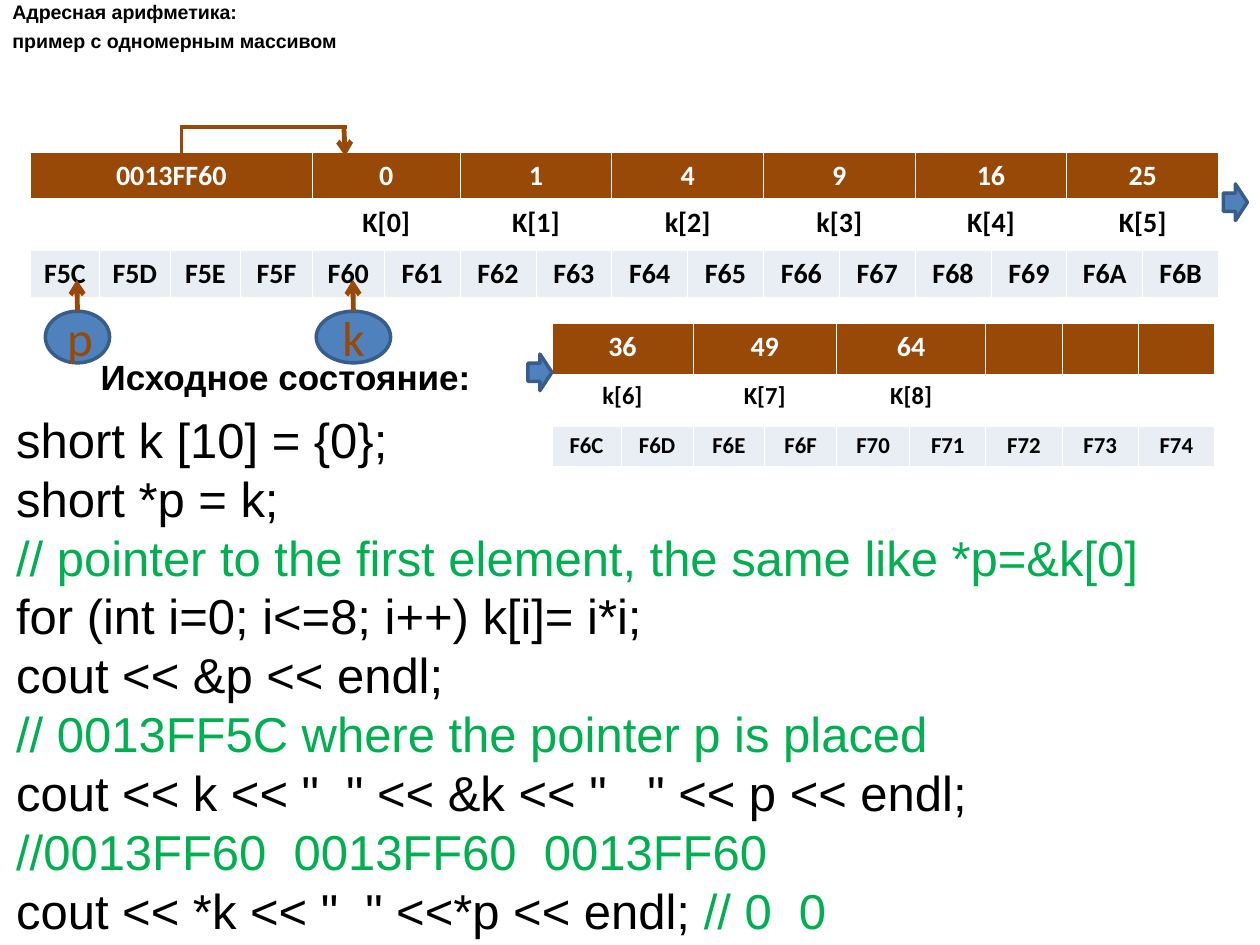
from lxml import etree
from pptx import Presentation
from pptx import util as u
from pptx.dml.color import RGBColor
from pptx.enum import shapes, text
from pptx.oxml import ns

COLUMNS, ROWS = 100, 75
BROWN, BLUE, NAVY = "984807", "4F81BD", "385D8A"
WHITE, BLACK, PALE, GREEN = "FFFFFF", "000000", "E9EDF4", "00B050"


def color(value):
    return RGBColor.from_string(value)


class Slide:
    heading_font = "Calibri"
    body_font = "Arial"

    def __init__(self, deck):
        self.page = deck.slides.add_slide(deck.slide_layouts[6])
        self.column = deck.slide_width / COLUMNS
        self.row = deck.slide_height / ROWS

    def place(self, left, top, width, height):
        return (u.Emu(round(left * self.column)), u.Emu(round(top * self.row)),
                u.Emu(round(width * self.column)), u.Emu(round(height * self.row)))

    def style(self, font, name, size, fill, bold=False):
        font.name, font.size, font.bold = name, u.Pt(size), bold
        font.color.rgb = color(fill)

    def paint(self, shape, fill, line, weight):
        shape.shadow.inherit = False
        shape.fill.solid()
        shape.fill.fore_color.rgb = color(fill)
        shape.line.color.rgb = color(line)
        shape.line.width = u.Pt(weight)

    def text_box(self, area, lines, size, bold=False, spacing=None, before=0, grow=False):
        frame = self.page.shapes.add_textbox(*self.place(*area)).text_frame
        frame.word_wrap = True
        if grow:
            frame.auto_size = text.MSO_AUTO_SIZE.SHAPE_TO_FIT_TEXT
        for index, line in enumerate(lines):
            para = frame.add_paragraph() if index else frame.paragraphs[0]
            para.line_spacing = spacing
            if index:
                para.space_before = u.Pt(before)
            for words, fill in line:
                span = para.add_run()
                span.text = words
                self.style(span.font, self.body_font, size, fill, bold)

    def block_arrow(self, area):
        arrow = self.page.shapes.add_shape(shapes.MSO_SHAPE.RIGHT_ARROW, *self.place(*area))
        self.paint(arrow, BLUE, NAVY, 2)

    def line(self, start, end, weight=2, arrow=False, parent=None):
        points = self.place(*start, *end)
        line = (parent or self.page).shapes.add_connector(shapes.MSO_CONNECTOR.STRAIGHT, *points)
        line.line.color.rgb = color(BROWN)
        line.line.width = u.Pt(weight)
        properties = line._element.spPr
        if arrow:
            etree.SubElement(properties.find(ns.qn("a:ln")), ns.qn("a:tailEnd"), type="arrow")
        etree.SubElement(properties, ns.qn("a:effectLst"))

    def pointer(self, name, left, width, tip):
        group = self.page.shapes.add_group_shape()
        top = 24.7
        oval = group.shapes.add_shape(shapes.MSO_SHAPE.OVAL, *self.place(left, top, width, 4.1))
        self.paint(oval, BLUE, NAVY, 2)
        frame = oval.text_frame
        frame.text = name
        frame.vertical_anchor = text.MSO_ANCHOR.MIDDLE
        para = frame.paragraphs[0]
        para.alignment = text.PP_ALIGN.CENTER
        self.style(para.runs[0].font, self.heading_font, 28, BROWN)
        self.line((left + width / 2, top), (tip, 22.2), 2.75, True, group)

    def borders(self, cell, top, bottom):
        properties = cell._tc.get_or_add_tcPr()
        sides = (("lnL", 0.45), ("lnR", 0.45), ("lnT", top), ("lnB", bottom))
        for index, (side, weight) in enumerate(sides):
            border = etree.Element(ns.qn("a:" + side), w=str(u.Pt(weight)))
            fill = etree.SubElement(border, ns.qn("a:solidFill"))
            etree.SubElement(fill, ns.qn("a:srgbClr"), val=WHITE)
            properties.insert(index, border)

    def memory_table(self, left, top, widths, heights, rows, sizes):
        area = self.place(left, top, sum(widths), sum(heights))
        table = self.page.shapes.add_table(len(rows), len(widths), *area).table
        for column, width in zip(table.columns, widths):
            column.width = u.Emu(round(width * self.column))
        for row, height in zip(table.rows, heights):
            row.height = u.Emu(round(height * self.row))
        looks = ((BROWN, WHITE, 0.45, 1.47), (WHITE, BLACK, 1.47, 0.45), (PALE, BLACK, 0.45, 0.45))
        for r, (entries, size, look) in enumerate(zip(rows, sizes, looks)):
            fill, ink, above, below = look
            for c in range(len(widths)):
                cell = table.cell(r, c)
                cell.fill.solid()
                cell.fill.fore_color.rgb = color(fill)
                cell.margin_left = cell.margin_right = u.Inches(0.05)
                self.borders(cell, above, below)
            c = 0
            for words, span in entries:
                cell = table.cell(r, c)
                if span > 1:
                    cell.merge(table.cell(r, c + span - 1))
                if words:
                    cell.text_frame.text = words
                    para = cell.text_frame.paragraphs[0]
                    para.alignment = text.PP_ALIGN.CENTER
                    self.style(para.runs[0].font, self.heading_font, size, ink, True)
                c += span


def cells(words, span=1):
    return [(word, span) for word in words]


def addresses(first, last):
    return [f"F{number:X}" for number in range(first, last + 1)]


def main():
    deck = Presentation()
    deck.slide_width, deck.slide_height = u.Inches(10), u.Inches(7.5)
    slide = Slide(deck)

    blanks = cells([""] * 4)
    slide.memory_table(
        2.4, 12.1, [5.5, 5.6, 5.6, 5.7, 5.7] + [6.02] * 11, [3.7] * 3,
        [[("0013FF60", 4)] + cells(["0", "1", "4", "9", "16", "25"], 2),
         blanks + cells(["K[0]", "K[1]", "k[2]", "k[3]", "K[4]", "K[5]"], 2),
         cells(["F5С"] + addresses(0x5D, 0x6B))],
        (16, 16, 16))
    slide.memory_table(
        43.8, 25.7, [5.5, 5.7, 5.7, 5.7, 5.8] + [6.05] * 4, [3.7, 3.3, 3.2],
        [cells(["36", "49", "64"], 2) + blanks[:3],
         cells(["k[6]", "K[7]", "K[8]"], 2) + blanks[:3],
         cells(addresses(0x6C, 0x74))],
        (16, 14, 13))

    slide.pointer("p", 3.6, 5.1, 6.1)
    slide.pointer("k", 25.1, 5.9, 28)
    slide.block_arrow((97.1, 14.6, 1.9, 2.9))
    slide.block_arrow((41.9, 28.1, 1.9, 2.9))

    code = [
        [("short k [10] = {0};", BLACK)],
        [("short *p = k;", BLACK)],
        [("// pointer to the first element, the same like *p=&k[0]", GREEN)],
        [("for (int i=0; i<=8; i++) k[i]= i*i;", BLACK)],
        [("cout << &p << endl;", BLACK)],
        [("// 0013FF5C where the pointer p is placed", GREEN)],
        [('cout << k << "  " << &k << "   " << p << endl; ', BLACK),
         ("//0013FF60  0013FF60  0013FF60", GREEN)],
        [('cout << *k << "  " <<*p << endl; ', BLACK), ("// 0  0", GREEN)],
    ]
    slide.text_box((0.3, 32, 96.8, 43.1), code, 28, grow=True)
    title = [[("Адресная арифметика:", BLACK)], [("пример с одномерным массивом", BLACK)]]
    slide.text_box((0, 0, 100, 4.5), title, 11.2, True, 0.7, 7)
    slide.text_box((7, 28.1, 35.9, 4.5), [[("Исходное состояние:", BLACK)]], 20, True, 0.9)

    slide.line((14.4, 12.4), (14.4, 10))
    slide.line((27.5, 10.1), (14.3, 10.1))
    slide.line((27.3, 10.2), (27.4, 12.4), 2.75, True)
    deck.save("out.pptx")


if __name__ == "__main__":
    main()
